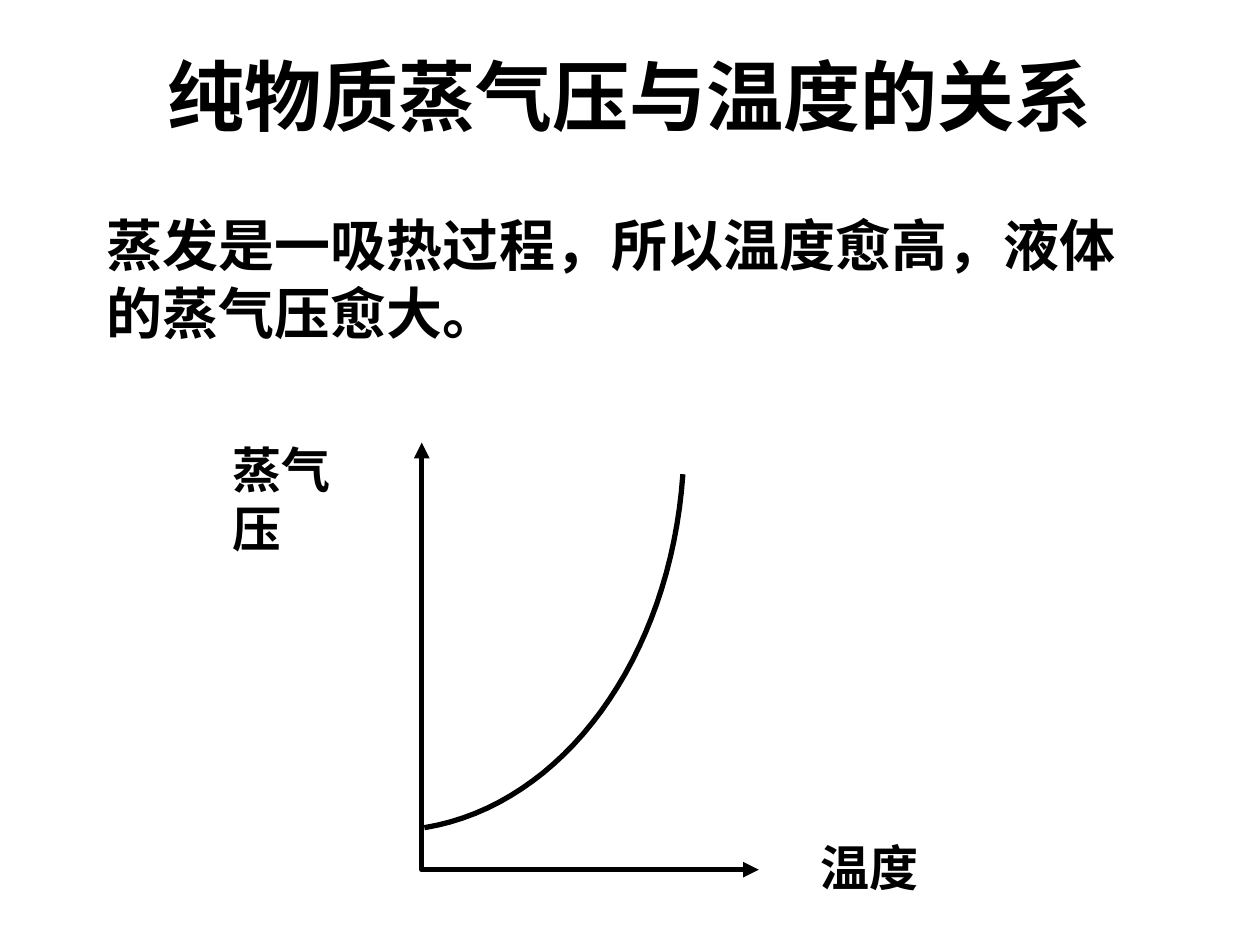
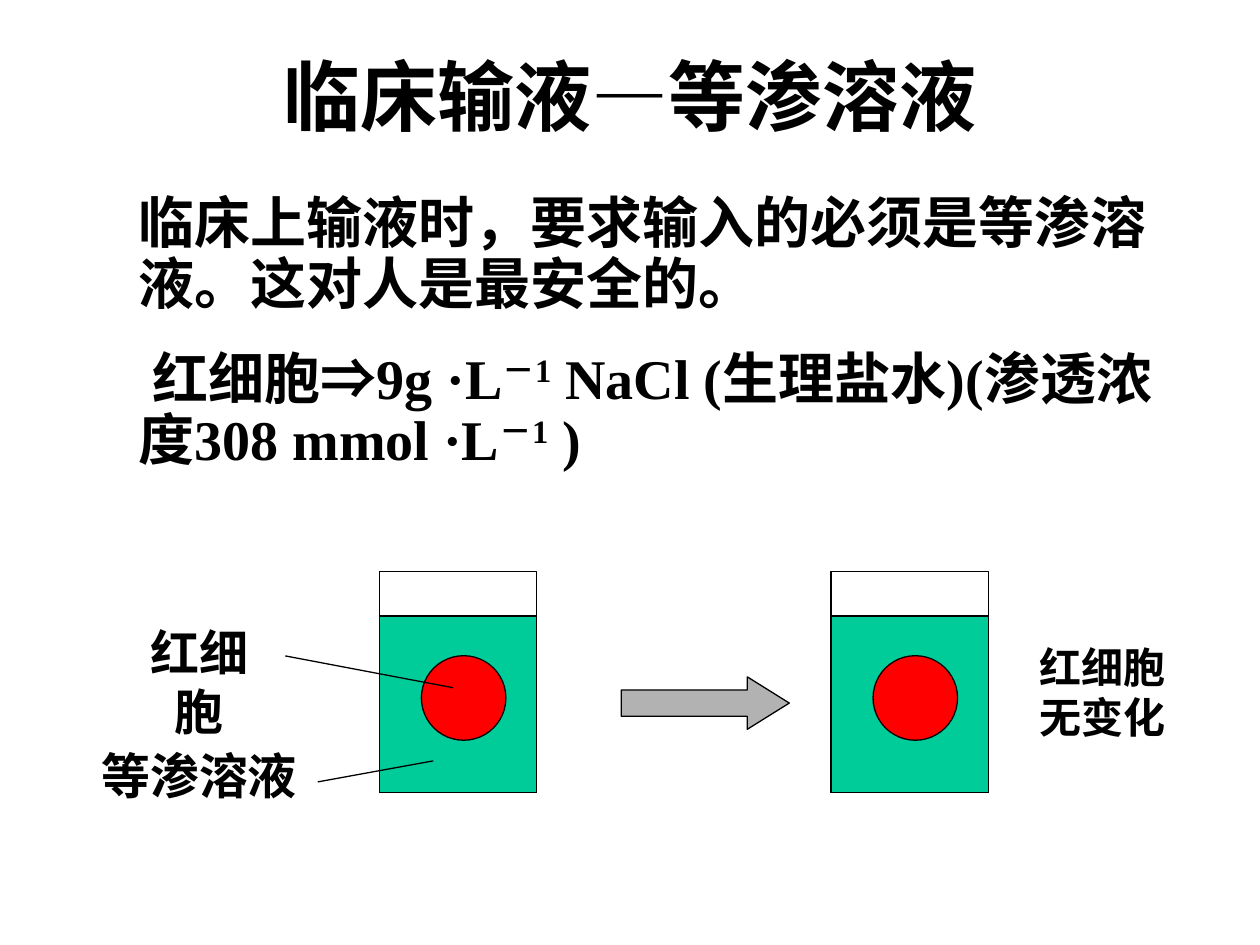
import pptx
import pptx.dml.color
import pptx.enum.lang
import pptx.enum.shapes
import pptx.enum.text
import pptx.oxml.ns
import pptx.util
from lxml import etree

Pt = pptx.util.Pt
RGBColor = pptx.dml.color.RGBColor
Preset = pptx.enum.shapes.MSO_SHAPE
Align = pptx.enum.text.PP_ALIGN
Anchor = pptx.enum.text.MSO_ANCHOR
CHINESE = pptx.enum.lang.MSO_LANGUAGE_ID.SIMPLIFIED_CHINESE
qn = pptx.oxml.ns.qn

BLACK = RGBColor(0x00, 0x00, 0x00)
SOLUTION_GREEN = RGBColor(0x00, 0xCC, 0x99)
CELL_RED = RGBColor(0xFF, 0x00, 0x00)
ARROW_GRAY = RGBColor(0xB2, 0xB2, 0xB2)
FONT = "Times New Roman"
THIN, THICK = 0.75, 3


def write_text(frame, paragraphs, size=28, align=Align.LEFT, line_spacing=None,
               gap=0, indents=()):
    """Fill a frame; a paragraph is a string or a list of (text, font, baseline)."""
    for index, content in enumerate(paragraphs):
        paragraph = frame.paragraphs[0] if index == 0 else frame.add_paragraph()
        paragraph.alignment = align
        paragraph.line_spacing = line_spacing
        if index:
            paragraph.space_before = Pt(gap)
        if index < len(indents):
            paragraph._p.get_or_add_pPr().set("indent", str(Pt(indents[index])))
        runs = [(content, FONT, 0)] if isinstance(content, str) else content
        for text, font_name, baseline in runs:
            run = paragraph.add_run()
            run.text = text
            run.font.name = font_name
            run.font.size = Pt(size)
            run.font.bold = True
            run.font.color.rgb = BLACK
            run.font.language_id = CHINESE
            if baseline:
                run._r.get_or_add_rPr().set("baseline", str(baseline * 1000))


def bezier(start, control_1, control_2, end, steps=32):
    """Points along a cubic curve."""
    points = []
    for step in range(steps + 1):
        t = step / steps
        weights = ((1 - t) ** 3, 3 * t * (1 - t) ** 2, 3 * t * t * (1 - t), t ** 3)
        corners = (start, control_1, control_2, end)
        points.append(tuple(sum(w * corner[axis] for w, corner in zip(weights, corners))
                            for axis in (0, 1)))
    return points


class Deck:
    """Holds the presentation, its style and the slide being drawn."""

    def __init__(self):
        self.presentation = pptx.Presentation()
        self.presentation.slide_width = Pt(720)
        self.presentation.slide_height = Pt(540)

    def new_slide(self, title):
        blank = self.presentation.slide_layouts[6]
        self.shapes = self.presentation.slides.add_slide(blank).shapes
        self.text((54, 24, 612, 60), [title], anchor=Anchor.MIDDLE,
                  size=44, align=Align.CENTER)

    def text(self, box, paragraphs, wrap=True, anchor=Anchor.TOP, **text_format):
        frame = self.shapes.add_textbox(*map(Pt, box)).text_frame
        frame.word_wrap = wrap
        frame.vertical_anchor = anchor
        write_text(frame, paragraphs, **text_format)

    def outline(self, shape, width):
        shape.line.color.rgb = BLACK
        shape.line.width = Pt(width)

    def shape(self, preset, box, fill=None):
        shape = self.shapes.add_shape(preset, *map(Pt, box))
        shape.shadow.inherit = False
        if fill is None:
            shape.fill.background()
        else:
            shape.fill.solid()
            shape.fill.fore_color.rgb = fill
        self.outline(shape, THIN)
        return shape

    def open_path(self, points, arrows=False):
        points = [(Pt(x), Pt(y)) for x, y in points]
        builder = self.shapes.build_freeform(*points[0])
        builder.add_line_segments(points[1:], close=False)
        path = builder.convert_to_shape()
        path.shadow.inherit = False
        path.fill.background()
        self.outline(path, THICK)
        if arrows:
            line = path._element.spPr.find(qn("a:ln"))
            for end in ("a:headEnd", "a:tailEnd"):
                etree.SubElement(line, qn(end), type="triangle")

    def pointer(self, start, end):
        straight = pptx.enum.shapes.MSO_CONNECTOR.STRAIGHT
        line = self.shapes.add_connector(straight, *map(Pt, start + end))
        self.outline(line, THIN)
        etree.SubElement(line._element.spPr, qn("a:effectLst"))

    def beaker(self, left):
        """A glass of solution with one red blood cell in it."""
        self.shape(Preset.RECTANGLE, (left, 352, 90, 101), SOLUTION_GREEN)
        self.shape(Preset.RECTANGLE, (left, 326.5, 90, 126.5))
        self.shape(Preset.OVAL, (left + 24, 374.7, 48.3, 48.3), CELL_RED)


def vapour_pressure_slide(deck):
    deck.new_slide("纯物质蒸气压与温度的关系")
    deck.text((54, 117, 612, 84),
              ["蒸发是一吸热过程，所以温度愈高，液体的蒸气压愈大。"], size=32)
    deck.text((126, 247.8, 98, 41), ["蒸气压"], wrap=False)
    deck.text((462, 475, 78, 41), ["温度"])
    deck.open_path(bezier((242.5, 473), (322, 460), (383, 376), (390.2, 271)))
    deck.open_path([(241, 253), (241, 497), (433.6, 497)], arrows=True)


def isotonic_slide(deck):
    deck.new_slide("临床输液—等渗溶液")
    saline = [("红细胞", FONT, 0), ("⇒", "Arial", 0), ("9g ·L", FONT, 0),
              ("－1", FONT, 30), (" NaCl (生理盐水)(渗透浓度308 mmol ·L", FONT, 0),
              ("－1", FONT, 30), (" )", FONT, 0)]
    deck.text((72, 108, 612, 165.6),
              ["临床上输液时，要求输入的必须是等渗溶液。这对人是最安全的。", saline],
              size=32, line_spacing=0.9, gap=20, indents=(0, 8))

    change = deck.shape(Preset.RIGHT_ARROW, (355, 386.8, 96, 30), ARROW_GRAY)
    change.adjustments[0], change.adjustments[1] = 0.5, 0.8
    for left in (216.8, 474.9):
        deck.beaker(left)
    deck.pointer((181.6, 446.8), (247.6, 434.8))
    deck.pointer((163, 374.8), (259, 393))

    deck.text((42.5, 422.7, 142.5, 41), ["等渗溶液"], align=Align.CENTER)
    deck.text((64.8, 352, 98, 41), ["红细胞"], wrap=False, align=Align.CENTER)
    deck.text((586.8, 363, 86.4, 65), ["红细胞", "无变化"], wrap=False,
              size=24, align=Align.CENTER)


def main():
    deck = Deck()
    vapour_pressure_slide(deck)
    isotonic_slide(deck)
    deck.presentation.save("out.pptx")


if __name__ == "__main__":
    main()
